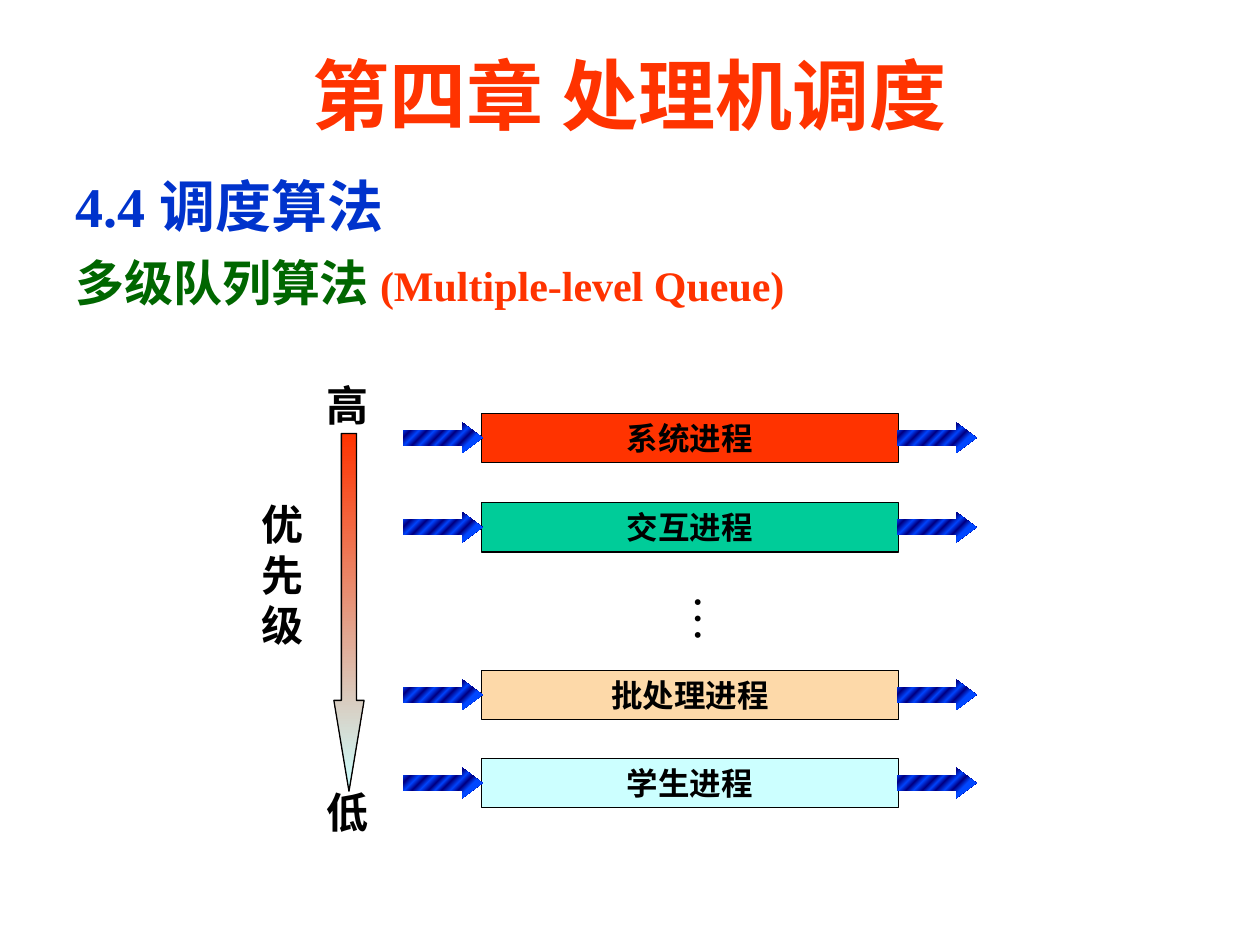
from lxml import etree
from pptx import Presentation, util as u
from pptx.dml.color import RGBColor
from pptx.enum import shapes, text
from pptx.oxml.ns import qn

# Theme
NAVY, BLUE = "000082", "0047FF"
THEME = {
    "font": "Times New Roman", "red": "FF3300", "blue": "0033CC",
    "green": "006600", "ink": "000000", "title": 44, "head": 32,
    "sub": 28, "mark": 24, "queue": 18, "line": 0.75,
    "stripe": [(at, (NAVY, BLUE)[i % 2]) for i, at in enumerate(
        (0, 6, 14, 22, 29, 36, 44, 50, 56, 64, 71, 78))],
    "fade": [(0, "FF3300"), (100, "CCFFFF")],
}

# Content
TITLE = "第四章 处理机调度"
BODY = [
    [("4.4 调度算法", "head", "blue")],
    [("多级队列算法 ", "sub", "green"),
     ("(Multiple-level Queue)", "mark", "red")],
]
QUEUES = [  # label, fill, top
    ("系统进程", "FF3300", 3.28),
    ("交互进程", "00CC99", 3.99),
    ("批处理进程", "FDD9A9", 5.32),
    ("学生进程", "CCFFFF", 6.02),
]
MARKS = [  # label, box, alignment
    ("优先级", (1.85, 3.91, 0.79, 1.3), "CENTER"),
    ("高", (2.49, 2.96, 0.55, 0.5), "LEFT"),
    ("低", (2.49, 6.19, 0.55, 0.5), "LEFT"),
]

# Layout
BAR_X, BAR_W, BAR_H = 3.82, 3.31, 0.39
ARROW_W, ARROW_H, LAP = 0.63, 0.24, 0.01

deck = Presentation()
deck.slide_width, deck.slide_height = u.Inches(10), u.Inches(7.5)
slide = deck.slides.add_slide(deck.slide_layouts[6])


def color(code):
    return RGBColor.from_string(code)


def write(shape, paras, bold=True, align="LEFT", anchor="TOP", wrap=True,
          lead=1.0, gap=0, hang=0):
    """Fill a shape with paragraphs of (text, size key, colour key) runs."""
    frame = shape.text_frame
    frame.word_wrap = wrap
    frame.vertical_anchor = getattr(text.MSO_ANCHOR, anchor)
    for i, runs in enumerate(paras):
        para = frame.add_paragraph() if i else frame.paragraphs[0]
        para.alignment = getattr(text.PP_ALIGN, align)
        para.line_spacing = lead
        if i:
            para.space_before = u.Pt(gap)
        if hang:
            props = para._p.get_or_add_pPr()
            props.set("marL", str(u.Inches(hang)))
            props.set("indent", str(-u.Inches(hang)))
        for words, size, tint in runs:
            run = para.add_run()
            run.text = words
            run.font.name = THEME["font"]
            run.font.size = u.Pt(THEME[size])
            run.font.bold = bold
            run.font.color.rgb = color(THEME[tint])


def label(box, paras, **form):
    shape = slide.shapes.add_textbox(*map(u.Inches, box))
    write(shape, paras, **form)
    return shape


def block(kind, box, fill=None, stops=None, angle=0, line=True, adjust=()):
    """Draw a preset shape with a solid fill or a gradient."""
    shape = slide.shapes.add_shape(kind, *map(u.Inches, box))
    shape.shadow.inherit = False
    for i, value in enumerate(adjust):
        shape.adjustments[i] = value
    if stops:
        shape.fill.gradient()
        grad = shape._element.spPr.find(qn("a:gradFill"))
        grad.find(qn("a:lin")).set("ang", str(angle * 60000))
        ramp = grad.find(qn("a:gsLst"))
        for old in list(ramp):
            ramp.remove(old)
        for at, code in stops:
            stop = etree.SubElement(ramp, qn("a:gs"), pos=str(at * 1000))
            etree.SubElement(stop, qn("a:srgbClr"), val=code)
    else:
        shape.fill.solid()
        shape.fill.fore_color.rgb = color(fill)
    if line:
        shape.line.color.rgb = color(THEME["ink"])
        shape.line.width = u.Pt(THEME["line"])
    else:
        shape.line.fill.background()
    return shape


# Title and headings
label((0.75, 0.28, 8.5, 0.92), [[(TITLE, "title", "red")]],
      align="CENTER", anchor="MIDDLE")
label((0.5, 1.26, 9.17, 1.33), BODY, lead=1.1, gap=4.2, hang=0.31)

# Queues, each with an arrow in and an arrow out
KIND = shapes.MSO_SHAPE
for name, fill, top in QUEUES:
    bar = block(KIND.RECTANGLE, (BAR_X, top, BAR_W, BAR_H), fill)
    write(bar, [[(name, "queue", "ink")]], align="CENTER",
          anchor="MIDDLE", wrap=False)
    for left in (BAR_X - ARROW_W + LAP, BAR_X + BAR_W - LAP):
        block(KIND.RIGHT_ARROW,
              (left, top + (BAR_H - ARROW_H) / 2, ARROW_W, ARROW_H),
              stops=THEME["stripe"], angle=45, line=False,
              adjust=(0.5, 0.665))

# Dots for the queues between
dots = label((5.29, 4.62, 0.67, 0.55), [[("…", "sub", "ink")]], bold=False)
dots.text_frame._txBody.bodyPr.set("vert", "eaVert")

# Priority scale
for name, box, align in MARKS:
    label(box, [[(name, "mark", "ink")]], align=align)
block(KIND.DOWN_ARROW, (2.65, 3.44, 0.24, 2.84), stops=THEME["fade"],
      angle=90, adjust=(0.5, 3.002))

deck.save("out.pptx")
